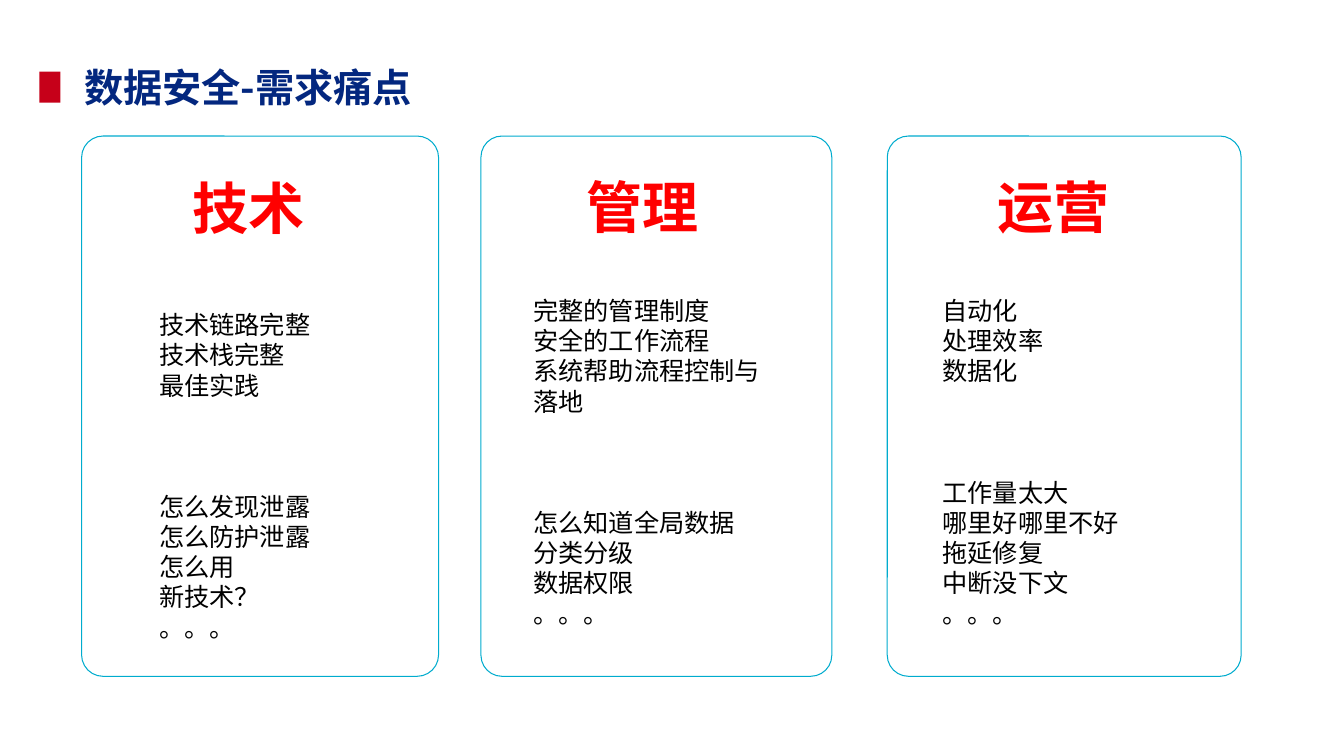
from dataclasses import dataclass

from lxml import etree
from pptx import Presentation
from pptx import util as u
from pptx.dml.color import RGBColor
from pptx.enum import shapes, text
from pptx.oxml.ns import qn

PX = 9144  # EMU, 100 px to the inch
COLORS = {"title": "03277F", "marker": "C60019", "frame": "00ACCE",
          "heading": "FF0000", "body": "000000"}
HEADING_FONT = "Noto Sans CJK SC"
BODY_FONT = "Calibri"
CARD_TOP, CARD_HEIGHT = 135, 536
GROUP_GAP = u.Pt(65)


@dataclass
class Card:
    left: int
    width: int
    heading: str
    heading_left: int
    heading_top: int
    body_left: int
    body_top: int
    body_height: int
    goals: list[str]
    pains: list[str]


CARDS = [
    Card(81, 354, "技术", 181, 167, 148, 302, 343,
         ["技术链路完整", "技术栈完整", "最佳实践"],
         ["怎么发现泄露", "怎么防护泄露", "怎么用", "新技术？", "。。。"]),
    Card(477, 348, "管理", 572, 166, 519, 288, 404,
         ["完整的管理制度", "安全的工作流程", "系统帮助流程控制与落地"],
         ["怎么知道全局数据", "分类分级", "数据权限", "。。。"]),
    Card(880, 351, "运营", 980, 166, 925, 288, 404,
         ["自动化", "处理效率", "数据化"],
         ["工作量太大", "哪里好哪里不好", "拖延修复", "中断没下文", "。。。"]),
]


def px(*lengths: int) -> list[int]:
    return [length * PX for length in lengths]


def rgb(name: str) -> RGBColor:
    return RGBColor.from_string(COLORS[name])


def style(para, size: int, face: str, color: str, bold: bool = False) -> None:
    """Format a paragraph, with one typeface for Latin and East Asian text."""
    font = para.font
    font.size, font.name, font.bold = u.Pt(size), face, bold
    font.color.rgb = rgb(color)
    east_asian = etree.Element(qn("a:ea"), typeface=face)
    font._element.find(qn("a:latin")).addnext(east_asian)


def add_title(page, wording: str) -> None:
    title = page.shapes.title
    title.left, title.top, title.width, title.height = px(59, 58, 374, 57)
    frame = title.text_frame
    frame.text = wording
    frame.word_wrap = False
    frame.auto_size = text.MSO_AUTO_SIZE.NONE
    frame.vertical_anchor = text.MSO_ANCHOR.MIDDLE
    para = frame.paragraphs[0]
    para.alignment = text.PP_ALIGN.CENTER
    style(para, 28, HEADING_FONT, "title", bold=True)


def add_marker(page) -> None:
    marker = page.shapes.add_shape(shapes.MSO_SHAPE.RECTANGLE, *px(39, 71, 21, 31))
    marker.shadow.inherit = False
    marker.fill.solid()
    marker.fill.fore_color.rgb = rgb("marker")
    marker.line.fill.background()


def add_card(page, card: Card) -> None:
    outline = page.shapes.add_shape(shapes.MSO_SHAPE.ROUNDED_RECTANGLE,
                                    *px(card.left, CARD_TOP, card.width, CARD_HEIGHT))
    outline.adjustments[0] = 0.06
    outline.shadow.inherit = False
    outline.fill.background()
    outline.line.color.rgb = rgb("frame")
    outline.line.width = u.Pt(0.75)

    heading = page.shapes.add_textbox(*px(card.heading_left, card.heading_top, 154, 77))
    heading.text_frame.word_wrap = True
    heading.text_frame.text = card.heading
    style(heading.text_frame.paragraphs[0], 40, HEADING_FONT, "heading", bold=True)

    body = page.shapes.add_textbox(*px(card.body_left, card.body_top, 264, card.body_height))
    body.text_frame.word_wrap = True
    body.text_frame.text = "\n".join(card.goals + card.pains)
    for para in body.text_frame.paragraphs:
        style(para, 18, BODY_FONT, "body")
    body.text_frame.paragraphs[len(card.goals)].space_before = GROUP_GAP


def main() -> None:
    deck = Presentation()
    deck.slide_width, deck.slide_height = u.Inches(13.33), u.Inches(7.5)
    page = deck.slides.add_slide(deck.slide_layouts.get_by_name("Title Only"))
    add_title(page, "数据安全-需求痛点")
    add_marker(page)
    for card in CARDS:
        add_card(page, card)
    deck.save("out.pptx")


if __name__ == "__main__":
    main()
